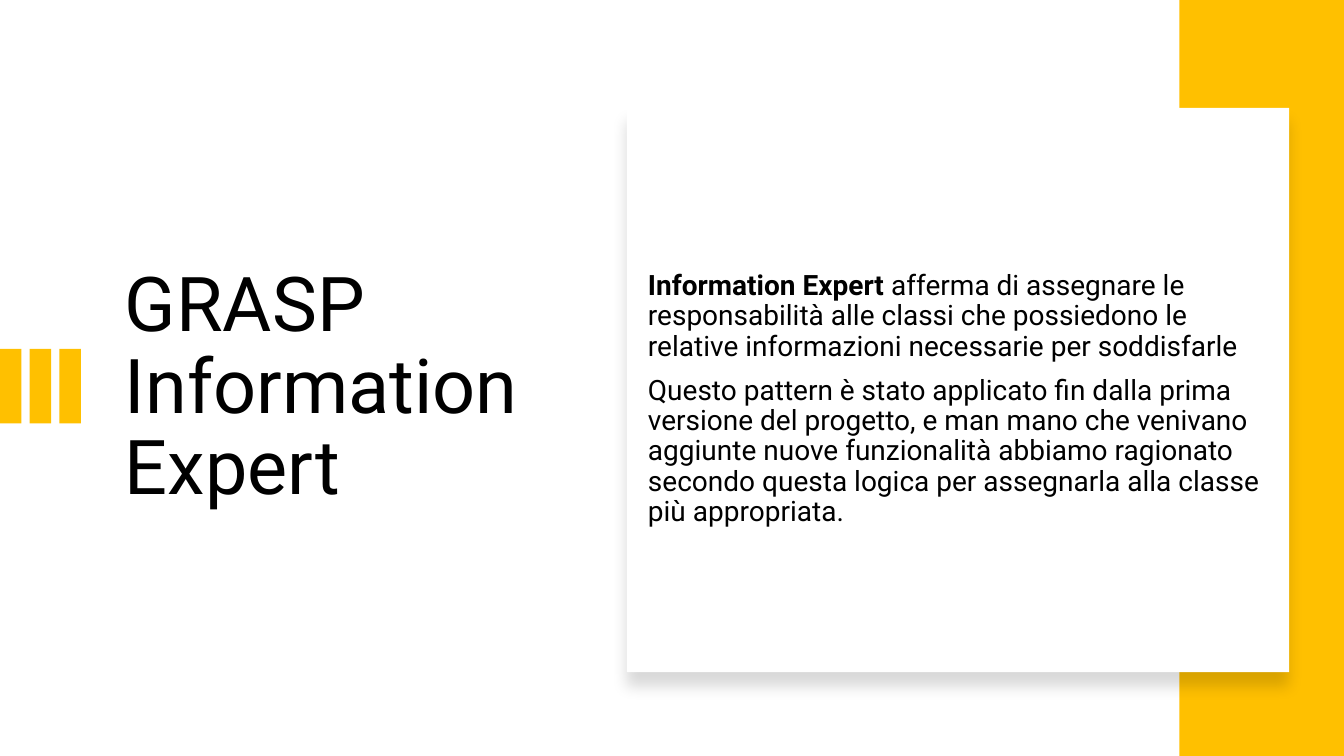
"""Build the GRASP Information Expert slide."""
from dataclasses import dataclass

from lxml.etree import SubElement
from pptx import Presentation
from pptx.dml.color import RGBColor
from pptx.enum.shapes import MSO_SHAPE
from pptx.enum.text import MSO_ANCHOR, PP_ALIGN
from pptx.oxml.ns import qn
from pptx.shapes.autoshape import Shape
from pptx.util import Cm, Pt


@dataclass(frozen=True)
class Theme:
    font: str = "Roboto"
    ink: str = "000000"
    gold: str = "FFC000"
    white: str = "FFFFFF"
    title: int = 54
    body: int = 20


@dataclass(frozen=True)
class Box:
    left: float
    top: float
    width: float
    height: float

    def place(self) -> tuple[Cm, Cm, Cm, Cm]:
        return Cm(self.left), Cm(self.top), Cm(self.width), Cm(self.height)


@dataclass(frozen=True)
class Run:
    text: str
    bold: bool = False


THEME = Theme()
WIDTH, HEIGHT = 33.87, 19.05
BAND = Box(29.72, 0, 4.15, HEIGHT)
CARD = Box(15.8, 2.72, 16.69, 14.22)
BAR_STEP = 0.75
BARS = [Box(i * BAR_STEP, 8.79, 0.54, 1.88) for i in range(3)]

TITLE = [[Run("GRASP Information Expert")]]
BODY = [
    [
        Run("Information Expert ", bold=True),
        Run("afferma di assegnare le responsabilità alle classi che possiedono "
            "le relative informazioni necessarie per soddisfarle"),
    ],
    [
        Run("Questo pattern è stato applicato fin dalla prima versione del "
            "progetto, e man mano che venivano aggiunte nuove funzionalità "
            "abbiamo ragionato secondo questa logica per assegnarla alla "
            "classe più appropriata."),
    ],
]


def add_rect(shapes, box: Box, fill: str) -> Shape:
    rect = shapes.add_shape(MSO_SHAPE.RECTANGLE, *box.place())
    rect.shadow.inherit = False
    rect.fill.solid()
    rect.fill.fore_color.rgb = RGBColor.from_string(fill)
    rect.line.fill.background()
    return rect


def add_shade(rect: Shape, blur: int, dist: int, alpha: int) -> None:
    effects = rect.element.spPr.find(qn("a:effectLst"))
    shade = SubElement(effects, qn("a:outerShdw"), blurRad=str(Pt(blur)),
                       dist=str(Pt(dist)), dir="5400000", algn="t", rotWithShape="0")
    tint = SubElement(shade, qn("a:srgbClr"), val=THEME.ink)
    SubElement(tint, qn("a:alpha"), val=str(alpha * 1000))


def add_text(shapes, box: Box, text: list[list[Run]], *, size: int,
             before: int = 0) -> None:
    frame = shapes.add_textbox(*box.place()).text_frame
    frame.word_wrap = True
    frame.vertical_anchor = MSO_ANCHOR.MIDDLE
    for i, runs in enumerate(text):
        para = frame.add_paragraph() if i else frame.paragraphs[0]
        para.alignment = PP_ALIGN.LEFT
        para.line_spacing = 0.9
        para.space_before = Pt(before)
        for item in runs:
            run = para.add_run()
            run.text = item.text
            run.font.name = THEME.font
            run.font.size = Pt(size)
            run.font.bold = item.bold
            run.font.color.rgb = RGBColor.from_string(THEME.ink)


def main() -> None:
    deck = Presentation()
    deck.slide_width, deck.slide_height = Cm(WIDTH), Cm(HEIGHT)
    shapes = deck.slides.add_slide(deck.slide_layouts[6]).shapes
    add_text(shapes, Box(2.9, 3.71, 10.82, 12.17), TITLE, size=THEME.title)
    group = shapes.add_group_shape()
    for bar in BARS:
        add_rect(group.shapes, bar, THEME.gold)
    add_rect(shapes, BAND, THEME.gold)
    card = add_rect(shapes, CARD, THEME.white)
    add_shade(card, blur=11, dist=10, alpha=15)
    add_text(shapes, Box(16.08, 3.18, 16.41, 13.77), BODY,
             size=THEME.body, before=10)
    deck.save("out.pptx")


if __name__ == "__main__":
    main()
